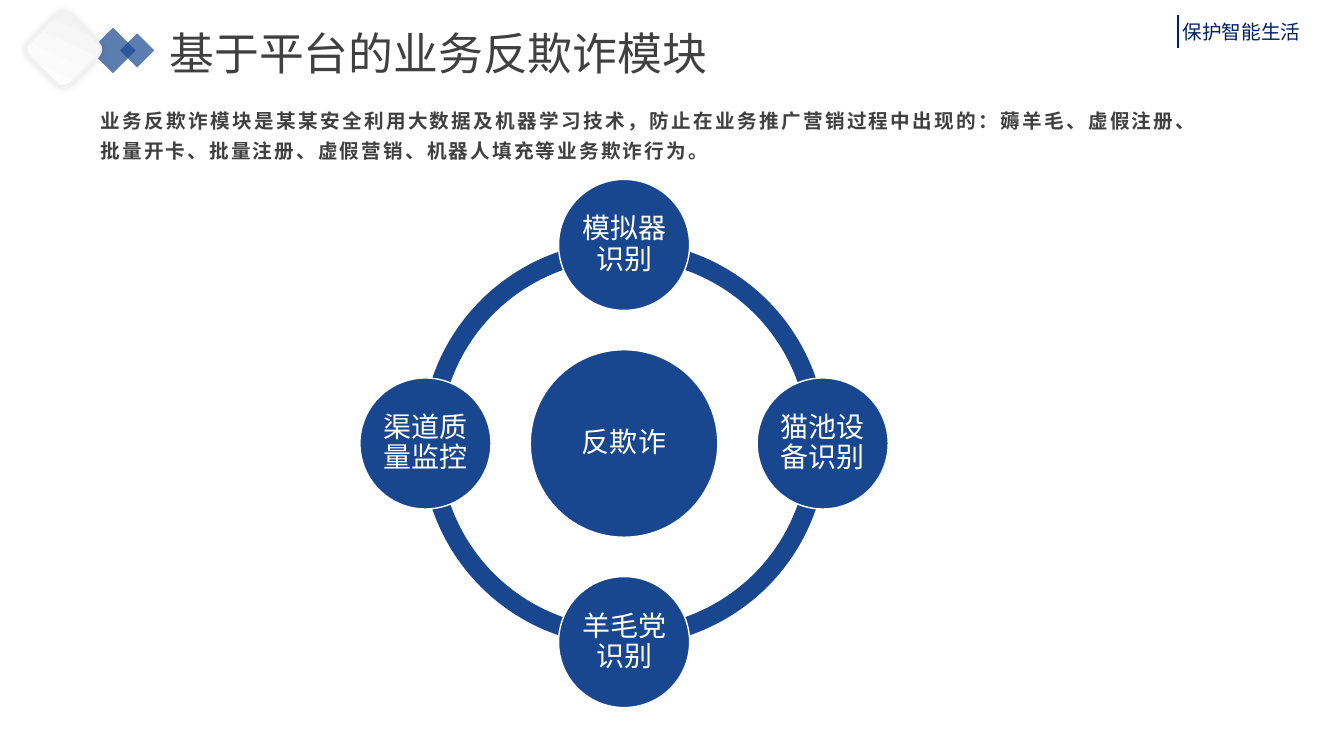
from lxml import etree
from pptx import Presentation
from pptx.dml.color import RGBColor
from pptx.enum.shapes import MSO_CONNECTOR, MSO_SHAPE
from pptx.enum.text import MSO_ANCHOR, MSO_AUTO_SIZE, PP_ALIGN
from pptx.oxml.ns import qn
from pptx.util import Emu, Pt

PX = 9144  # 100 px to the inch
RECTANGLE, ROUNDED = MSO_SHAPE.RECTANGLE, MSO_SHAPE.ROUNDED_RECTANGLE
OVAL, ARC = MSO_SHAPE.OVAL, MSO_SHAPE.BLOCK_ARC
LEFT, CENTER, JUSTIFY = PP_ALIGN.LEFT, PP_ALIGN.CENTER, PP_ALIGN.JUSTIFY
TOP, MIDDLE = MSO_ANCHOR.TOP, MSO_ANCHOR.MIDDLE

FONT = "Noto Sans CJK SC"
BLUE, NAVY, GREY, WHITE, PALE = "18478F", "002060", "404040", "FFFFFF", "F2F2F2"

CENTER_X, CENTER_Y = 619, 440
ORBIT, RING_SIZE, HUB_SIZE, NODE_SIZE = 197, 402, 186, 130
QUARTER = 54  # 90 degrees in adjustment units
NODES = [("模拟器识别", 0, -1), ("猫池设备识别", 1, 0),
         ("羊毛党识别", 0, 1), ("渠道质量监控", -1, 0)]


def px(*lengths):
    return [Emu(length * PX) for length in lengths]


def rgb(color):
    return RGBColor.from_string(color)


def add_child(parent, tag, **attributes):
    return etree.SubElement(parent, qn(tag), attributes)


def write(shape, text, size=14, color=GREY, font=FONT, bold=False, align=LEFT,
          anchor=TOP, line_spacing=1.0, spacing=None, margin=None):
    frame = shape.text_frame
    frame.word_wrap = True
    frame.auto_size = MSO_AUTO_SIZE.NONE
    frame.vertical_anchor = anchor
    if margin is not None:
        (frame.margin_left, frame.margin_top,
         frame.margin_right, frame.margin_bottom) = px(*[margin] * 4)
    paragraph = frame.paragraphs[0]
    paragraph.alignment = align
    paragraph.line_spacing = line_spacing
    run = paragraph.add_run()
    run.text = text
    run.font.size = Pt(size)
    run.font.bold = bold
    run.font.name = font
    run.font.color.rgb = rgb(color)
    properties = run.font._element
    add_child(properties, "a:ea", typeface=FONT)
    if spacing:
        properties.set("spc", str(int(spacing * 100)))


def add_text(slide, box, text, **text_format):
    write(slide.shapes.add_textbox(*px(*box)), text, **text_format)


def add_filled(slide, kind, box, fill=BLUE, line=None, line_width=1, rotation=0, opacity=100):
    shape = slide.shapes.add_shape(kind, *px(*box))
    shape.shadow.inherit = False
    shape.rotation = rotation
    shape.fill.solid()
    shape.fill.fore_color.rgb = rgb(fill)
    if opacity < 100:
        solid_color = shape._element.spPr.find(".//" + qn("a:srgbClr"))
        add_child(solid_color, "a:alpha", val=str(opacity * 1000))
    if line:
        shape.line.color.rgb = rgb(line)
        shape.line.width = Pt(line_width)
    else:
        shape.line.fill.background()
    return shape


def add_circle(slide, center_x, center_y, size, text, font=FONT):
    box = (center_x - size // 2, center_y - size // 2, size, size)
    circle = add_filled(slide, OVAL, box, line=WHITE)
    write(circle, text, size=20, color=WHITE, font=font, align=CENTER,
          anchor=MIDDLE, line_spacing=0.9, margin=3)


def add_soft_tile(slide, box):
    tile = add_filled(slide, ROUNDED, box, line=PALE, line_width=2, rotation=45)
    tile.fill.gradient()
    tile.fill.gradient_angle = 110
    for stop, color in zip(tile.fill.gradient_stops, (WHITE, PALE)):
        stop.color.rgb = rgb(color)
    effects = tile._element.spPr.find(qn("a:effectLst"))
    shadow = add_child(effects, "a:outerShdw", blurRad=str(Pt(5)), dist="0",
                       algn="ctr", rotWithShape="0")
    shadow_color = add_child(shadow, "a:srgbClr", val="000000")
    add_child(shadow_color, "a:alpha", val="11000")


def add_line(slide, start_x, start_y, end_x, end_y, color, width):
    line = slide.shapes.add_connector(
        MSO_CONNECTOR.STRAIGHT, *px(start_x, start_y, end_x, end_y))
    line.line.color.rgb = rgb(color)
    line.line.width = Pt(width)
    add_child(line._element.spPr, "a:effectLst")


def add_header(slide):
    # Diamonds beside the title
    add_filled(slide, RECTANGLE, (96, 34, 32, 32), rotation=225, opacity=70)
    add_filled(slide, RECTANGLE, (124, 38, 24, 24), rotation=225, opacity=70)
    add_soft_tile(slide, (34, 20, 58, 58))

    # Slogan at the top right
    add_text(slide, (1163, 15, 139, 34), "保护智能生活", color=NAVY)
    add_line(slide, 1168, 15, 1168, 48, NAVY, 1.5)

    # Title
    title = slide.shapes.title
    title.left, title.top, title.width, title.height = px(158, 15, 887, 82)
    write(title, "基于平台的业务反欺诈模块", size=32, anchor=MIDDLE, line_spacing=0.9)


def add_cycle(slide):
    # Ring of four quarter arcs
    ring_box = (CENTER_X - RING_SIZE // 2, CENTER_Y - RING_SIZE // 2, RING_SIZE, RING_SIZE)
    for quarter in range(4):
        arc = add_filled(slide, ARC, ring_box)
        arc.adjustments[0] = quarter * QUARTER
        arc.adjustments[1] = (quarter + 1) % 4 * QUARTER
        arc.adjustments[2] = 0.046

    # Hub and the nodes around it
    add_circle(slide, CENTER_X, CENTER_Y, HUB_SIZE, "反欺诈")
    for text, across, down in NODES:
        add_circle(slide, CENTER_X + across * ORBIT, CENTER_Y + down * ORBIT,
                   NODE_SIZE, text, font="Calibri")


def main():
    presentation = Presentation()
    presentation.slide_width, presentation.slide_height = px(1333, 750)
    slide = presentation.slides.add_slide(presentation.slide_layouts[5])
    add_header(slide)
    add_text(slide, (90, 96, 1108, 68),
             "业务反欺诈模块是某某安全利用大数据及机器学习技术，防止在业务推广营销过程中出现的："
             "薅羊毛、虚假注册、批量开卡、批量注册、虚假营销、机器人填充等业务欺诈行为。",
             bold=True, align=JUSTIFY, line_spacing=1.3, spacing=1.5)
    add_cycle(slide)
    presentation.save("out.pptx")


if __name__ == "__main__":
    main()
